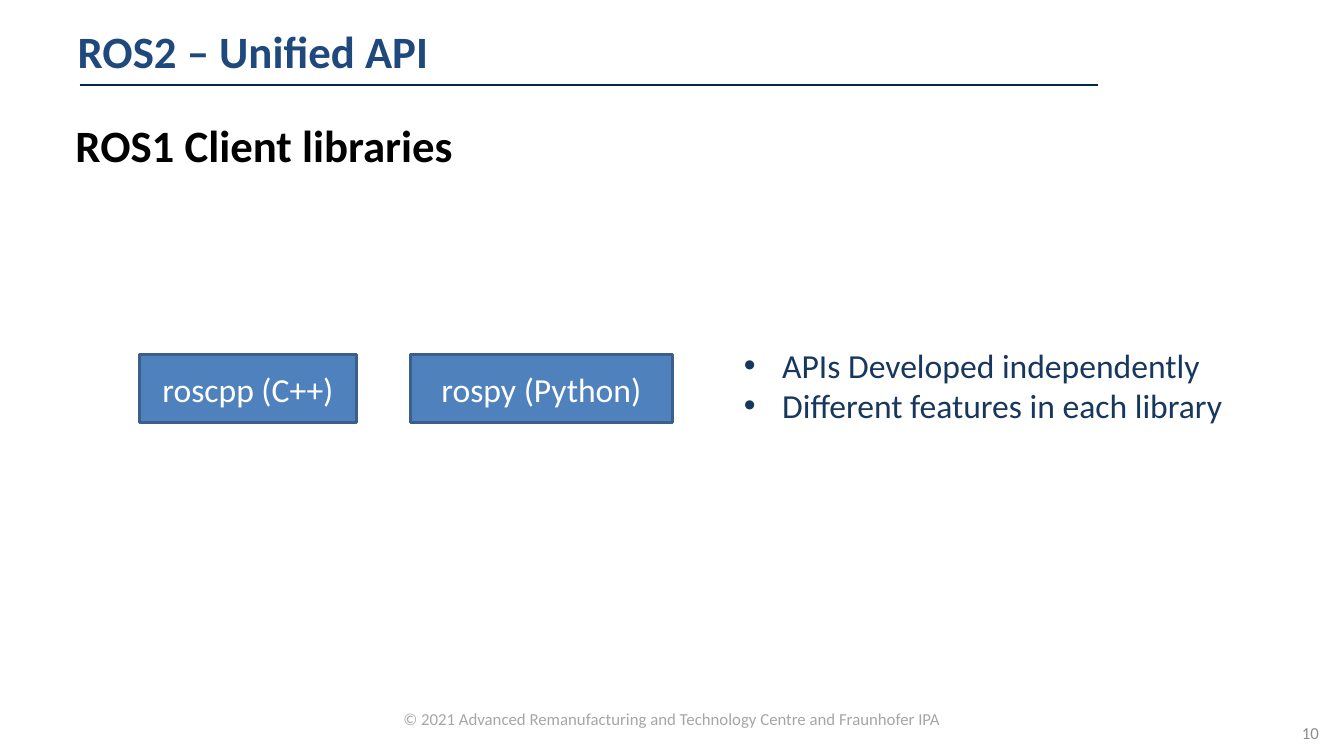
from lxml.etree import SubElement
from pptx import Presentation
from pptx.dml.color import RGBColor
from pptx.enum.shapes import MSO_CONNECTOR, MSO_SHAPE
from pptx.enum.text import MSO_ANCHOR as Anchor, PP_ALIGN as Align
from pptx.oxml.ns import qn
from pptx.util import Inches, Pt


def color(value):
    return RGBColor.from_string(value)


class SlideBuilder:
    font = "Calibri"
    navy = "17375E"
    gray = "A6A6A6"

    def __init__(self, presentation):
        self.slide = presentation.slides.add_slide(presentation.slide_layouts[5])

    def fill_text(self, frame, lines, size, fill, bold=False, align=Align.LEFT,
                  anchor=Anchor.TOP, wrap=True, bullet=False):
        """Fill a text frame with one uniformly styled paragraph per line."""
        frame.word_wrap = wrap
        frame.vertical_anchor = anchor
        frame.text = "\n".join(lines)
        for paragraph in frame.paragraphs:
            paragraph.alignment = align
            if bullet:
                self.add_bullet(paragraph)
            paragraph.font.name = self.font
            paragraph.font.size = Pt(size)
            paragraph.font.bold = bold
            paragraph.font.color.rgb = color(fill)

    def add_bullet(self, paragraph):
        properties = paragraph._p.get_or_add_pPr()
        indent = Inches(0.38)
        properties.set("marL", str(indent))
        properties.set("indent", str(-indent))
        SubElement(properties, qn("a:buFont"), typeface="Arial")
        SubElement(properties, qn("a:buChar"), char="•")

    def title(self, text, left, top, width, height):
        title = self.slide.shapes.title
        title.left, title.top = Inches(left), Inches(top)
        title.width, title.height = Inches(width), Inches(height)
        self.fill_text(title.text_frame, [text], 32, "1F497D", bold=True,
                       anchor=Anchor.MIDDLE)

    def text(self, lines, left, top, width, height, size, fill, **style):
        box = self.slide.shapes.add_textbox(
            Inches(left), Inches(top), Inches(width), Inches(height))
        self.fill_text(box.text_frame, lines, size, fill, **style)

    def library_box(self, label, left, top, width, height):
        box = self.slide.shapes.add_shape(
            MSO_SHAPE.RECTANGLE, Inches(left), Inches(top), Inches(width), Inches(height))
        box.shadow.inherit = False
        box.fill.solid()
        box.fill.fore_color.rgb = color("4F81BD")
        box.line.color.rgb = color("3A5F8C")
        box.line.width = Pt(2)
        self.fill_text(box.text_frame, [label], 24, "FFFFFF",
                       align=Align.CENTER, anchor=Anchor.MIDDLE)

    def rule(self, left, right, y):
        """Draw a horizontal line."""
        line = self.slide.shapes.add_connector(
            MSO_CONNECTOR.STRAIGHT, Inches(left), Inches(y), Inches(right), Inches(y))
        line.line.color.rgb = color("02294A")
        line.line.width = Pt(1.5)
        SubElement(line._element.spPr, qn("a:effectLst"))


def main():
    presentation = Presentation()
    presentation.slide_width = Inches(13.33)
    presentation.slide_height = Inches(7.5)

    builder = SlideBuilder(presentation)
    builder.rule(0.79, 10.89, 0.84)
    builder.text(["© 2021 Advanced Remanufacturing and Technology Centre and Fraunhofer IPA"],
                 0.71, 6.98, 11.91, 0.3, 12, builder.gray, align=Align.CENTER)
    builder.title("ROS2 – Unified API", 0.67, 0.17, 10.22, 0.67)
    builder.text(["10"], 12.53, 7.14, 0.65, 0.25, 12, "8C8C8C",
                 align=Align.RIGHT, anchor=Anchor.MIDDLE)
    builder.text(["APIs Developed independently", "Different features in each library"],
                 7.28, 3.37, 5.03, 0.91, 24, builder.navy, bullet=True)
    for label, left, width in [("roscpp (C++)", 1.38, 2.16), ("rospy (Python)", 4.07, 2.6)]:
        builder.library_box(label, left, 3.52, width, 0.67)
    builder.text(["ROS1 Client libraries"], 0.65, 1.12, 3.98, 0.64, 32, "000000",
                 bold=True, wrap=False)

    presentation.save("out.pptx")


if __name__ == "__main__":
    main()
